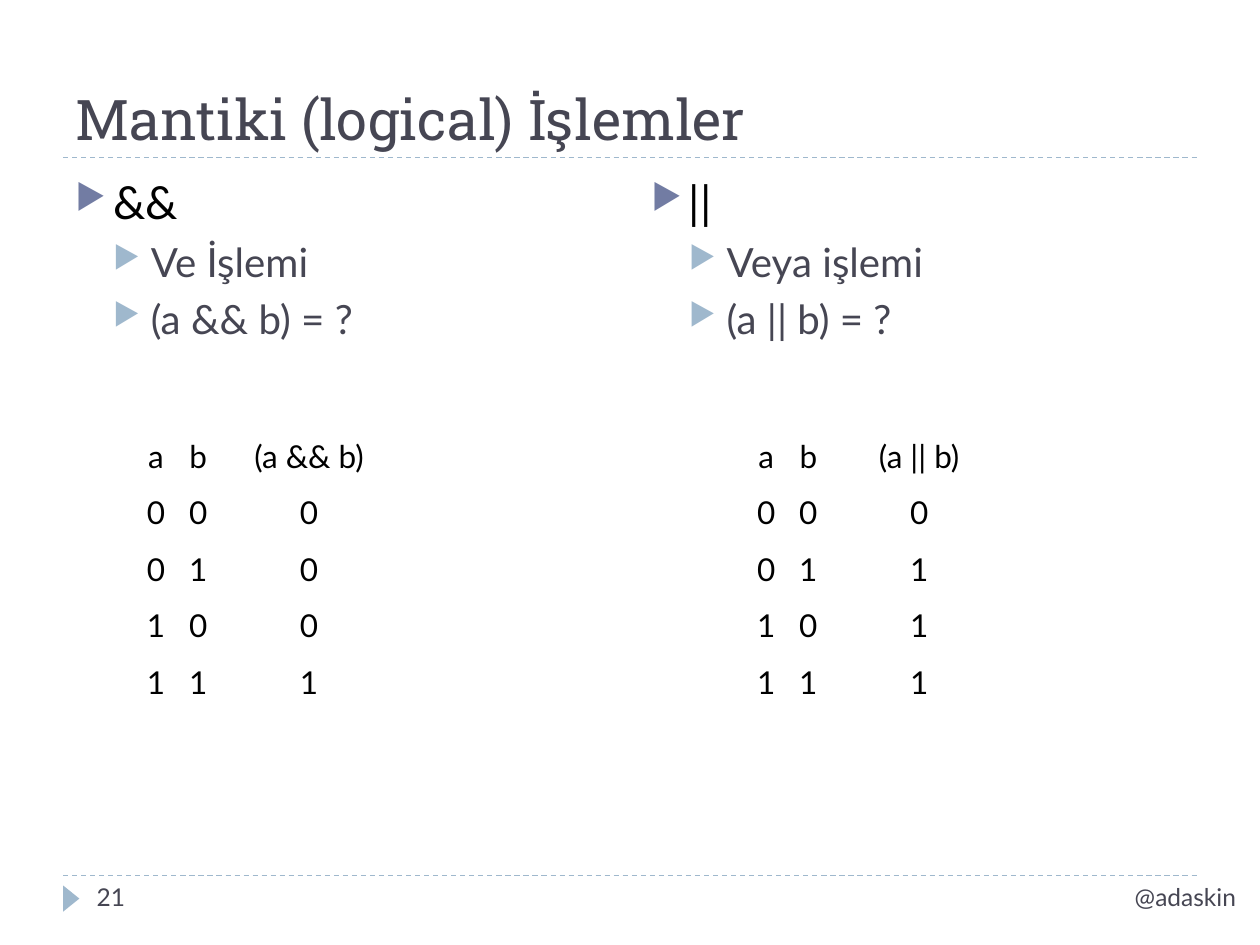
from dataclasses import dataclass
from itertools import product

from lxml import etree
from pptx import Presentation
from pptx.dml.color import RGBColor
from pptx.enum.dml import MSO_LINE
from pptx.enum.shapes import MSO_CONNECTOR, MSO_SHAPE
from pptx.enum.text import MSO_ANCHOR, PP_ALIGN
from pptx.oxml.ns import qn
from pptx.util import Cm, Pt

DASH = MSO_LINE.DASH
STRAIGHT = MSO_CONNECTOR.STRAIGHT
TRIANGLE = MSO_SHAPE.ISOSCELES_TRIANGLE
TOP, BOTTOM = MSO_ANCHOR.TOP, MSO_ANCHOR.BOTTOM
LEFT, CENTER, RIGHT = PP_ALIGN.LEFT, PP_ALIGN.CENTER, PP_ALIGN.RIGHT


@dataclass(frozen=True)
class Theme:
    """Colours, fonts and type sizes of the slide."""
    heading_font: str = "Roboto Slab"
    body_font: str = "Lato"
    ink: str = "000000"
    muted: str = "464653"
    accent: str = "727CA3"
    pale: str = "9FB8CD"
    title_size: int = 32
    operator_size: int = 26
    detail_size: int = 23
    table_size: int = 18
    footer_size: int = 14


THEME = Theme()


def style(paragraph, size, color, font=THEME.body_font, align=LEFT):
    """Set the font and alignment of a paragraph."""
    paragraph.alignment = align
    paragraph.font.name = font
    paragraph.font.size = Pt(size)
    paragraph.font.bold = False
    paragraph.font.color.rgb = RGBColor.from_string(color)


def add_bullet(paragraph, level, color):
    """Give a paragraph a triangular bullet with a hanging indent."""
    step = Cm(0.76)
    properties = paragraph._p.get_or_add_pPr()
    properties.set("marL", str(step * (level + 1)))
    properties.set("indent", str(-step))
    tint = etree.SubElement(properties, qn("a:buClr"))
    etree.SubElement(tint, qn("a:srgbClr"), val=color)
    etree.SubElement(properties, qn("a:buSzPct"), val="76000")
    etree.SubElement(properties, qn("a:buChar"), char="▶")


def add_rule(slide, left, top, width):
    """Draw a dashed horizontal rule."""
    rule = slide.shapes.add_connector(STRAIGHT, left, top, left + width, top)
    rule.line.color.rgb = RGBColor.from_string(THEME.pale)
    rule.line.width = Pt(0.75)
    rule.line.dash_style = DASH
    etree.SubElement(rule._element.spPr, qn("a:effectLst"))


def add_text_frame(slide, left, top, width, height):
    """Add a wrapping text box and return its frame."""
    frame = slide.shapes.add_textbox(left, top, width, height).text_frame
    frame.word_wrap = True
    frame.vertical_anchor = TOP
    return frame


def add_heading(slide, text, left, top, width, height):
    """Place the title above its rule."""
    title = slide.shapes.title
    title.left, title.top, title.width, title.height = left, top, width, height
    title.text_frame.text = text
    title.text_frame.vertical_anchor = BOTTOM
    style(title.text_frame.paragraphs[0], THEME.title_size, THEME.muted,
          THEME.heading_font)
    add_rule(slide, left, top + height, width)


def add_footer(slide, number, handle, left, top, width):
    """Place the rule, marker, slide number and handle of the footer."""
    add_rule(slide, left, top, width)
    marker = slide.shapes.add_shape(
        TRIANGLE, left - Cm(0.1), top + Cm(0.3), Cm(0.53), Cm(0.33))
    marker.rotation = 90
    marker.shadow.inherit = False
    marker.fill.solid()
    marker.fill.fore_color.rgb = RGBColor.from_string(THEME.pale)
    marker.line.fill.background()
    for text, offset, span, align in (
            (handle, Cm(14.17), Cm(9.73), RIGHT),
            (number, Cm(0.43), Cm(5.5), LEFT)):
        frame = add_text_frame(slide, left + offset, top, span, Cm(1.02))
        frame.text = text
        style(frame.paragraphs[0], THEME.footer_size, THEME.muted, align=align)


def add_truth_table(slide, expression, outcome, left, top):
    """Tabulate an operator for every pair of bits."""
    rows = [("a", "b", expression)]
    rows += [(a, b, outcome(a, b)) for a, b in product((0, 1), repeat=2)]
    widths = Cm(0.81), Cm(0.89), Cm(3.58)
    row_height = Cm(1.14)
    table = slide.shapes.add_table(len(rows), len(widths), left, top,
                                   sum(widths), row_height * len(rows)).table
    table.first_row = table.horz_banding = False
    for column, width in zip(table.columns, widths):
        column.width = width
    for row, values in zip(table.rows, rows):
        row.height = row_height
        for cell, value in zip(row.cells, values):
            cell.fill.background()
            cell.margin_left = cell.margin_right = Cm(0.1)
            cell.vertical_anchor = TOP
            cell.text = str(value)
            style(cell.text_frame.paragraphs[0], THEME.table_size, THEME.ink,
                  align=CENTER)


def add_operator(slide, symbol, meaning, outcome, table_offset,
                 left, top, width, height):
    """Describe a logical operator above its truth table."""
    expression = f"(a {symbol} b)"
    frame = add_text_frame(slide, left, top, width, height)
    lines = ((symbol, 0), (meaning, 1), (f"{expression} = ?", 1))
    levels = ((THEME.operator_size, THEME.ink, THEME.accent, 6),
              (THEME.detail_size, THEME.muted, THEME.pale, 5))
    for index, (text, level) in enumerate(lines):
        size, color, bullet, gap = levels[level]
        paragraph = frame.add_paragraph() if index else frame.paragraphs[0]
        paragraph.text = text
        paragraph.level = level
        paragraph.space_before = Pt(gap)
        add_bullet(paragraph, level, bullet)
        style(paragraph, size, color)
    add_truth_table(slide, expression, outcome,
                    left + table_offset, top + Cm(5.31))


def build():
    """Build and save the slide."""
    deck = Presentation()
    deck.slide_width, deck.slide_height = Cm(25.4), Cm(19.05)
    slide = deck.slides.add_slide(deck.slide_layouts[5])
    margin, content_width = Cm(1.27), Cm(22.86)
    add_heading(slide, "Mantiki (logical) İşlemler",
                margin, Cm(0.64), content_width, Cm(2.54))
    add_footer(slide, "21", "@adaskin", margin, Cm(17.65), content_width)
    operators = (
        ("&&", "Ve İşlemi", lambda a, b: a & b, Cm(1.47), margin),
        ("||", "Veya işlemi", lambda a, b: a | b, Cm(2.16), Cm(12.88)))
    for symbol, meaning, outcome, table_offset, left in operators:
        add_operator(slide, symbol, meaning, outcome, table_offset,
                     left, Cm(3.38), Cm(11.23), Cm(13.72))
    deck.save("out.pptx")


build()
